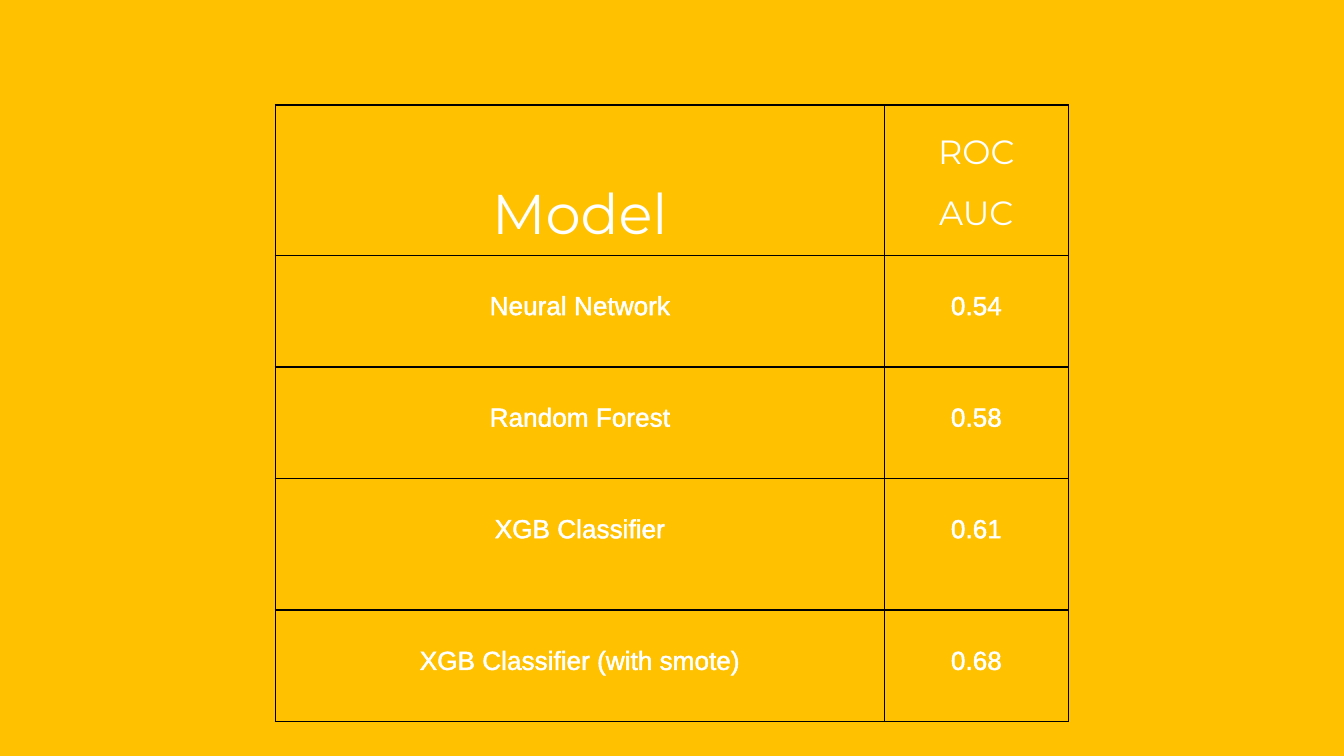
from lxml.etree import SubElement
from pptx import Presentation
from pptx.dml.color import RGBColor
from pptx.enum.text import MSO_ANCHOR, PP_ALIGN
from pptx.oxml import parse_xml
from pptx.oxml.ns import nsdecls, qn
from pptx.util import Inches, Pt

YELLOW, WHITE, BLACK = "FFC100", "FFFFFF", "000000"
COLUMN_WIDTHS = [4.53, 1.37]
ROW_HEIGHTS = [1.12, 0.83, 0.83, 0.98, 0.83]
HEADERS = [("Model", 30, 2.0), ("ROC\nAUC", 18, 1.5)]
SCORES = [
    ("Neural Network", "0.54"),
    ("Random Forest", "0.58"),
    ("XGB Classifier", "0.61"),
    ("XGB Classifier (with smote)", "0.68"),
]


def rgb(color):
    return RGBColor.from_string(color)


def make_line(tag, color, width):
    line = parse_xml(f'<a:{tag} {nsdecls("a")} w="{Pt(width)}"/>')
    fill = SubElement(line, qn("a:solidFill"))
    SubElement(fill, qn("a:srgbClr"), val=color)
    return line


def style_cell(cell):
    cell.fill.background()
    cell.vertical_anchor = MSO_ANCHOR.TOP
    properties = cell._tc.get_or_add_tcPr()
    for index, side in enumerate(("lnL", "lnR", "lnT", "lnB")):
        properties.insert(index, make_line(side, BLACK, 1))


def write_cell(cell, text, size, font, spacing, outlined=False):
    style_cell(cell)
    cell.text_frame.text = text
    for para in cell.text_frame.paragraphs:
        para.alignment = PP_ALIGN.CENTER
        para.line_spacing = spacing
        for span in para.runs:
            span.font.size = Pt(size)
            span.font.name = font
            span.font.bold = False
            span.font.color.rgb = rgb(WHITE)
            if outlined:
                span._r.get_or_add_rPr().insert(0, make_line("ln", WHITE, 0.75))


def add_score_table(slide):
    table = slide.shapes.add_table(
        len(ROW_HEIGHTS), len(COLUMN_WIDTHS), Inches(2.05), Inches(0.78),
        Inches(sum(COLUMN_WIDTHS)), Inches(sum(ROW_HEIGHTS)),
    ).table
    table.first_row = False
    table.horz_banding = False
    for column, width in zip(table.columns, COLUMN_WIDTHS):
        column.width = Inches(width)
    for row, height in zip(table.rows, ROW_HEIGHTS):
        row.height = Inches(height)
    for column, (text, size, spacing) in enumerate(HEADERS):
        write_cell(table.cell(0, column), text, size, "Montserrat", spacing)
    for row, score in enumerate(SCORES, start=1):
        for column, text in enumerate(score):
            write_cell(table.cell(row, column), text, 14, "Arial", 2.0, outlined=True)


def main():
    deck = Presentation()
    deck.slide_width = Inches(10)
    deck.slide_height = Inches(10) * 9 // 16
    slide = deck.slides.add_slide(deck.slide_layouts[6])
    slide.background.fill.solid()
    slide.background.fill.fore_color.rgb = rgb(YELLOW)
    add_score_table(slide)
    deck.save("out.pptx")


if __name__ == "__main__":
    main()
